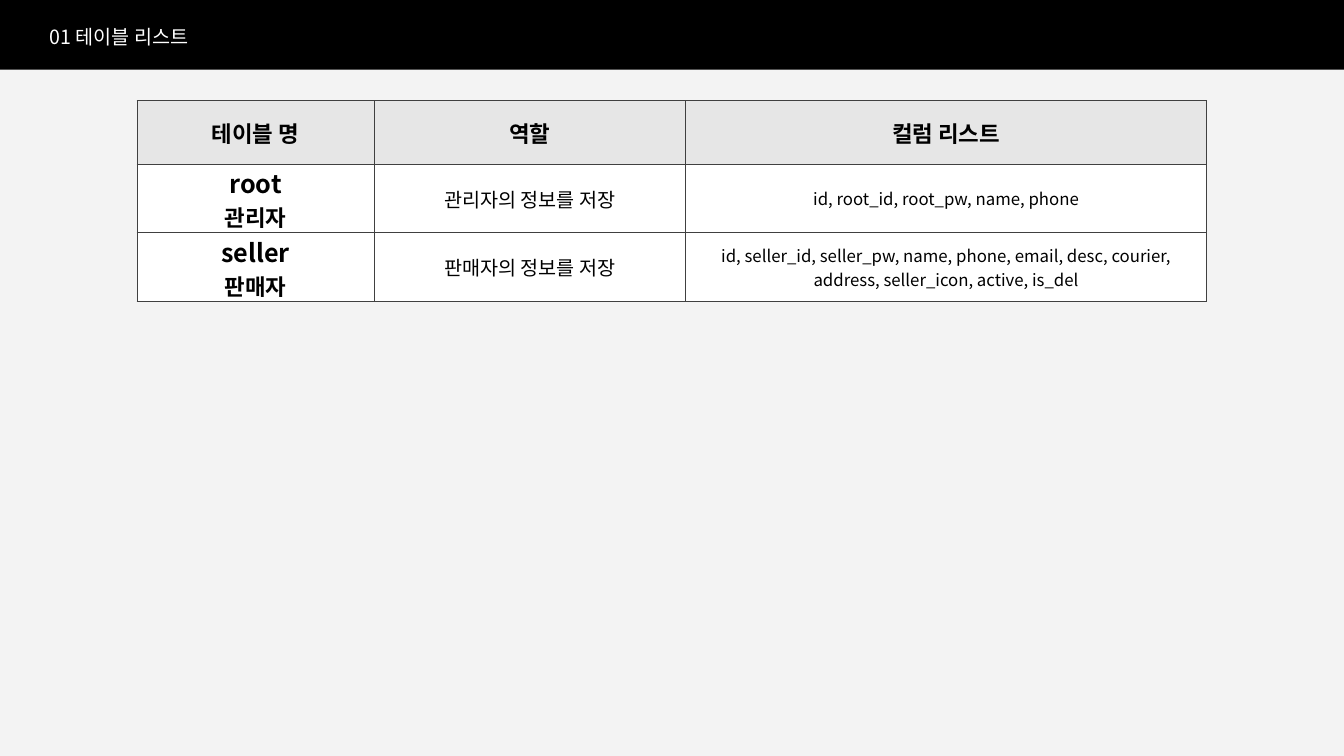
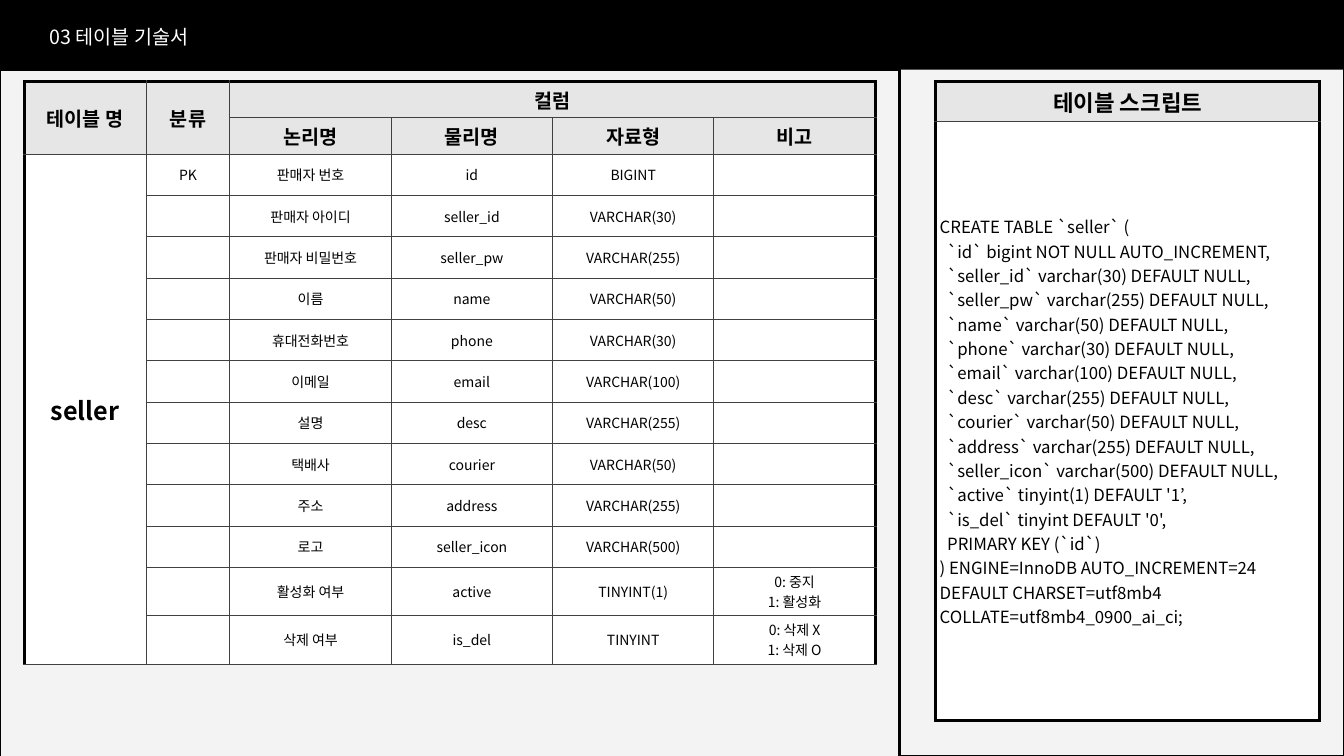
from dataclasses import dataclass
from typing import NamedTuple

from lxml import etree
from pptx import Presentation
from pptx.dml.color import RGBColor
from pptx.enum import shapes, text
from pptx.oxml import ns
from pptx.util import Inches, Pt

FONT = "Noto Sans CJK KR"
COLORS = {
    "black": "000000",
    "white": "FFFFFF",
    "page": "F3F3F3",
    "head": "E6E6E6",
    "grid": "404040",
}
THIN = ("grid", 0.75)
HEAVY = ("black", 2.25)


class Run(NamedTuple):
    text: str
    size: float
    bold: bool = False


@dataclass
class CellText:
    """Paragraphs of one cell; the runs of a paragraph are parted by line breaks."""
    paragraphs: list[list[Run]]
    fill: str = "white"
    align: text.PP_ALIGN = text.PP_ALIGN.CENTER
    rows: int = 1
    cols: int = 1
    margin_y: float = 0.04


@dataclass
class Grid:
    left: float
    top: float
    cols: list[float]
    rows: list[float]
    cells: dict[tuple[int, int], CellText]
    heavy: str = ""  # outer edges drawn heavy, out of L R T B
    empty_size: float = 10


def rgb(name: str) -> RGBColor:
    return RGBColor.from_string(COLORS[name])


def heading(words: str, size: float, rows: int = 1, cols: int = 1) -> CellText:
    return CellText([[Run(words, size, True)]], "head", rows=rows, cols=cols)


def body(words: str, size: float) -> CellText:
    return CellText([[Run(line, size)] for line in words.split("\n")])


def add_run(p, run: Run, color: str = "black") -> None:
    r = p.add_run()
    r.text = run.text
    r.font.name, r.font.size, r.font.bold = FONT, Pt(run.size), run.bold
    r.font.color.rgb = rgb(color)
    etree.SubElement(r.font._element, ns.qn("a:ea"), typeface=FONT)


# Shared slide parts
def add_rect(s, left: float, top: float, width: float, height: float):
    sp = s.shapes.add_shape(shapes.MSO_SHAPE.RECTANGLE, Inches(left), Inches(top),
                            Inches(width), Inches(height))
    sp.shadow.inherit = False
    return sp


def add_slide(prs, title: str):
    s = prs.slides.add_slide(prs.slide_layouts[6])
    s.background.fill.solid()
    s.background.fill.fore_color.rgb = rgb("page")
    band = add_rect(s, 0, 0, 13.33, 0.69)
    band.fill.solid()
    band.fill.fore_color.rgb = rgb("black")
    band.line.fill.background()
    tf = s.shapes.add_textbox(Inches(0.39), Inches(0.2), Inches(6.67), Inches(0.34)).text_frame
    tf.word_wrap = True
    add_run(tf.paragraphs[0], Run(title, 14), "white")
    return s


def add_panel(s, left: float, top: float, width: float, height: float) -> None:
    sp = add_rect(s, left, top, width, height)
    sp.fill.background()
    sp.line.color.rgb = rgb("black")
    sp.line.width = Pt(1.5)


# Tables
def set_borders(cell, heavy: set[str]) -> None:
    tc_pr = cell._tc.get_or_add_tcPr()
    for edge in "LRTB":
        color, width = HEAVY if edge in heavy else THIN
        ln = etree.SubElement(tc_pr, ns.qn(f"a:ln{edge}"), w=str(Pt(width)))
        fill = etree.SubElement(ln, ns.qn("a:solidFill"))
        etree.SubElement(fill, ns.qn("a:srgbClr"), val=COLORS[color])


def fill_cell(cell, content: CellText, empty_size: float) -> None:
    cell.fill.solid()
    cell.fill.fore_color.rgb = rgb(content.fill)
    cell.vertical_anchor = text.MSO_ANCHOR.MIDDLE
    cell.margin_left = cell.margin_right = Inches(0.04)
    cell.margin_top = cell.margin_bottom = Inches(content.margin_y)
    tf = cell.text_frame
    if not content.paragraphs:
        end = etree.SubElement(tf.paragraphs[0]._p, ns.qn("a:endParaRPr"))
        end.set("sz", str(int(empty_size * 100)))
    for i, runs in enumerate(content.paragraphs):
        p = tf.add_paragraph() if i else tf.paragraphs[0]
        p.alignment = content.align
        for j, run in enumerate(runs):
            if j:
                p.add_line_break()
            add_run(p, run)


def add_grid(s, grid: Grid) -> None:
    n_rows, n_cols = len(grid.rows), len(grid.cols)
    table = s.shapes.add_table(n_rows, n_cols, Inches(grid.left), Inches(grid.top),
                               Inches(sum(grid.cols)), Inches(sum(grid.rows))).table
    table.first_row = table.horz_banding = False
    for column, width in zip(table.columns, grid.cols):
        column.width = Inches(width)
    for row, height in zip(table.rows, grid.rows):
        row.height = Inches(height)
    for y in range(n_rows):
        for x in range(n_cols):
            cell = table.cell(y, x)
            content = grid.cells.get((y, x), CellText([]))
            if content.rows * content.cols > 1:
                cell.merge(table.cell(y + content.rows - 1, x + content.cols - 1))
            outer = {"L": x == 0, "T": y == 0, "R": x + content.cols == n_cols,
                     "B": y + content.rows == n_rows}
            set_borders(cell, {edge for edge in grid.heavy if outer[edge]})
            fill_cell(cell, content, grid.empty_size)


# Slide content
TABLE_LIST = [
    ("root", "관리자", "관리자의 정보를 저장", "id, root_id, root_pw, name, phone"),
    ("seller", "판매자", "판매자의 정보를 저장",
     "id, seller_id, seller_pw, name, phone, email, desc, courier, "
     "address, seller_icon, active, is_del"),
]
SELLER_COLUMNS = [
    ("PK", "판매자 번호", "id", "BIGINT", ""),
    ("", "판매자 아이디", "seller_id", "VARCHAR(30)", ""),
    ("", "판매자 비밀번호", "seller_pw", "VARCHAR(255)", ""),
    ("", "이름", "name", "VARCHAR(50)", ""),
    ("", "휴대전화번호", "phone", "VARCHAR(30)", ""),
    ("", "이메일", "email", "VARCHAR(100)", ""),
    ("", "설명", "desc", "VARCHAR(255)", ""),
    ("", "택배사", "courier", "VARCHAR(50)", ""),
    ("", "주소", "address", "VARCHAR(255)", ""),
    ("", "로고", "seller_icon", "VARCHAR(500)", ""),
    ("", "활성화 여부", "active", "TINYINT(1)", "0: 중지\n1: 활성화"),
    ("", "삭제 여부", "is_del", "TINYINT", "0: 삭제 X\n1: 삭제 O"),
]
SELLER_SCRIPT = """CREATE TABLE `seller` (
  `id` bigint NOT NULL AUTO_INCREMENT,
  `seller_id` varchar(30) DEFAULT NULL,
  `seller_pw` varchar(255) DEFAULT NULL,
  `name` varchar(50) DEFAULT NULL,
  `phone` varchar(30) DEFAULT NULL,
  `email` varchar(100) DEFAULT NULL,
  `desc` varchar(255) DEFAULT NULL,
  `courier` varchar(50) DEFAULT NULL,
  `address` varchar(255) DEFAULT NULL,
  `seller_icon` varchar(500) DEFAULT NULL,
  `active` tinyint(1) DEFAULT '1’,
  `is_del` tinyint DEFAULT '0',
  PRIMARY KEY (`id`)
) ENGINE=InnoDB AUTO_INCREMENT=24 DEFAULT CHARSET=utf8mb4 COLLATE=utf8mb4_0900_ai_ci;"""


def build_table_list(prs) -> None:
    s = add_slide(prs, "01 테이블 리스트")
    cells = {(0, x): heading(words, 16)
             for x, words in enumerate(["테이블 명", "역할", "컬럼 리스트"])}
    for y, (name, label, role, columns) in enumerate(TABLE_LIST, 1):
        cells[y, 0] = CellText([[Run(name, 18, True), Run(label, 16, True)]], margin_y=0)
        cells[y, 1] = body(role, 14)
        cells[y, 2] = body(columns, 12)
    add_grid(s, Grid(1.36, 1, [2.35, 3.09, 5.17], [0.63, 0.68, 0.68], cells))


def build_table_spec(prs) -> None:
    s = add_slide(prs, "03 테이블 기술서")
    add_panel(s, 0, 0.69, 8.92, 6.82)
    add_panel(s, 8.93, 0.39, 4.4, 7.11)

    # Column description; rows with a two-line remark are taller
    cells = {
        (0, 0): heading("테이블 명", 14, rows=2),
        (0, 1): heading("분류", 14, rows=2),
        (0, 2): heading("컬럼", 14, cols=4),
        (2, 0): CellText([[Run("seller", 18, True)]], rows=len(SELLER_COLUMNS)),
    }
    for x, words in enumerate(["논리명", "물리명", "자료형", "비고"], 2):
        cells[1, x] = heading(words, 14)
    for y, values in enumerate(SELLER_COLUMNS, 2):
        cells.update({(y, x): body(v, 10) for x, v in enumerate(values, 1) if v})
    heights = [0.48 if remark else 0.41 for *_, remark in SELLER_COLUMNS]
    add_grid(s, Grid(0.24, 0.81, [1.21, 0.83] + [1.6] * 4,
                     [0.36] * 2 + heights, cells, heavy="LRT"))

    # Creation script
    script = body(SELLER_SCRIPT, 12)
    script.align = text.PP_ALIGN.LEFT
    add_grid(s, Grid(9.28, 0.81, [3.81], [0.4, 5.94],
                     {(0, 0): heading("테이블 스크립트", 16), (1, 0): script}, heavy="LRTB"))


def main() -> None:
    prs = Presentation()
    prs.slide_width, prs.slide_height = Inches(13.33), Inches(7.5)
    build_table_list(prs)
    build_table_spec(prs)
    prs.save("out.pptx")


if __name__ == "__main__":
    main()
